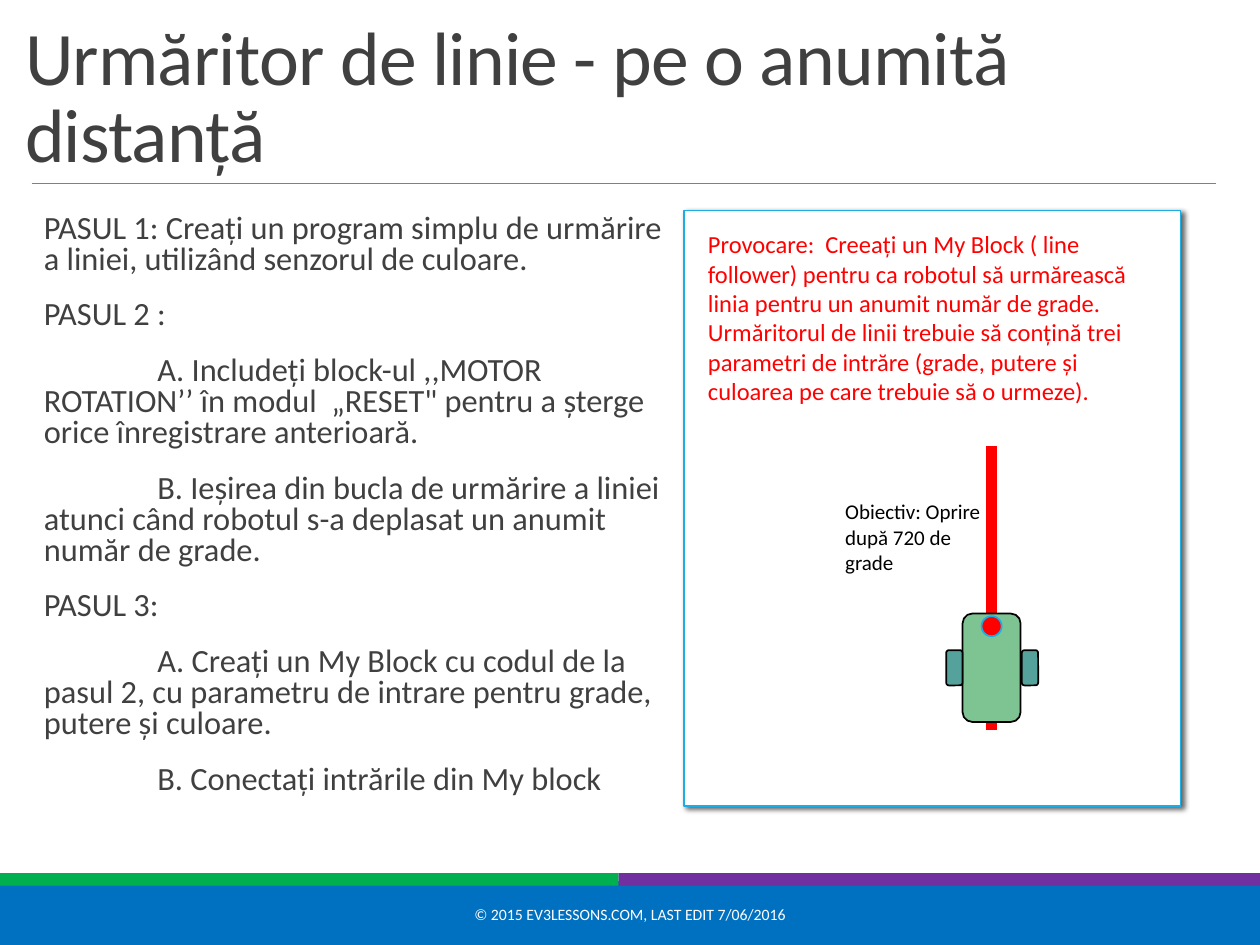
from lxml import etree
from pptx import Presentation
from pptx.dml.color import RGBColor
from pptx.enum.shapes import MSO_CONNECTOR as CONN, MSO_SHAPE as SHAPE
from pptx.enum.text import MSO_ANCHOR as ANCHOR, MSO_AUTO_SIZE as AUTO, PP_ALIGN as ALIGN
from pptx.oxml import parse_xml
from pptx.oxml.ns import nsdecls, qn
from pptx.util import Inches, Pt


def rgb(color):
    return RGBColor.from_string(color)


prs = Presentation()
prs.slide_width, prs.slide_height = Inches(10), Inches(7.5)
s = prs.slides.add_slide(prs.slide_layouts[6])
robot = s.shapes.add_group_shape()

shapes = [
    (s, SHAPE.RECTANGLE, (0, 7, 10, 0.5), "0070C0", "0070C0", 1.25),
    (s, SHAPE.RECTANGLE, (0, 6.93, 4.91, 0.1), "00B050", None, 0),
    (s, SHAPE.RECTANGLE, (4.91, 6.93, 5.09, 0.1), "7030A0", None, 0),
    (s, SHAPE.RECTANGLE, (5.43, 1.67, 3.94, 4.73), "FFFFFF", "1CADE4", 1),
    (robot, SHAPE.ROUNDED_RECTANGLE, (7.64, 4.87, 0.46, 0.86), "7EC492", "000000", 1),
    (robot, SHAPE.ROUNDED_RECTANGLE, (8.11, 5.16, 0.13, 0.28), "55A19C", "000000", 1),
    (robot, SHAPE.ROUNDED_RECTANGLE, (7.51, 5.16, 0.13, 0.28), "55A19C", "000000", 1),
    (robot, SHAPE.OVAL, (7.79, 4.89, 0.16, 0.16), "FF0000", "1CADE4", 1),
]
for parent, kind, box, fill, line, width in shapes:
    sp = parent.shapes.add_shape(kind, *map(Inches, box))
    sp.shadow.inherit = False
    sp.fill.solid()
    sp.fill.fore_color.rgb = rgb(fill)
    if line:
        sp.line.color.rgb = rgb(line)
        sp.line.width = Pt(width)
    else:
        sp.line.fill.background()
    if line == "1CADE4" and parent is s:
        sp._element.spPr.find(qn("a:effectLst")).append(parse_xml(
            f'<a:outerShdw {nsdecls("a")} blurRad="{Pt(3)}" dist="{Pt(2)}" dir="2700000">'
            '<a:srgbClr val="000000"><a:alpha val="60000"/></a:srgbClr></a:outerShdw>'))

lines = [
    ((0.25, 1.46, 9.65, 1.46), "808080", 0.5),
    ((7.87, 5.79, 7.87, 3.54), "FF0000", 6),
]
for ends, color, width in lines:
    cx = s.shapes.add_connector(CONN.STRAIGHT, *map(Inches, ends))
    cx.line.color.rgb = rgb(color)
    cx.line.width = Pt(width)
    etree.SubElement(cx._element.spPr, qn("a:effectLst"))
s.shapes._spTree.append(robot._element)

steps = [
    "PASUL 1: Creați un program simplu de urmărire a liniei, utilizând senzorul de culoare.",
    "PASUL 2 :",
    "\tA. Includeți block-ul ,,MOTOR ROTATION’’ în modul  „RESET\" pentru a șterge orice înregistrare anterioară.",
    "\tB. Ieșirea din bucla de urmărire a liniei atunci când robotul s-a deplasat un anumit număr de grade.",
    "PASUL 3:",
    "\tA. Creați un My Block cu codul de la pasul 2, cu parametru de intrare pentru grade, putere și culoare.",
    "\tB. Conectați intrările din My block",
]
challenge = (
    "Provocare:  Creeați un My Block ( line follower) pentru ca robotul să urmărească  linia "
    "pentru un anumit număr de grade.  Urmăritorul de linii trebuie să conțină trei parametri "
    "de intrăre (grade, putere și culoarea pe care trebuie să o urmeze)."
)
grow = {"auto_size": AUTO.SHAPE_TO_FIT_TEXT}
texts = [
    ((0.1, 0.19, 9.82, 1.27), ["Urmăritor de linie - pe o anumită distanță"], 43.2, "404040",
     {"vertical_anchor": ANCHOR.BOTTOM}, {"line_spacing": 0.85}),
    ((0.25, 1.65, 5.09, 5.09), steps, 18.5, "404040",
     {"margin_left": Inches(0.1), "margin_right": 0}, {"line_spacing": 0.8, "space_after": Pt(2)}),
    ((3.02, 7.06, 3.96, 0.4), ["© 2015 EV3LESSONS.COM, LAST EDIT 7/06/2016"], 9, "FFFFFF",
     {"vertical_anchor": ANCHOR.MIDDLE}, {"alignment": ALIGN.CENTER}),
    ((5.52, 1.77, 3.65, 1.51), [challenge], 14, "FF0000", grow, {}),
    ((6.61, 3.91, 1.34, 0.71), ["Obiectiv: Oprire după 720 de grade"], 12, "000000", grow, {}),
]
for box, paragraphs, size, color, frame, layout in texts:
    tf = s.shapes.add_textbox(*map(Inches, box)).text_frame
    tf.word_wrap = True
    for name, value in frame.items():
        setattr(tf, name, value)
    for i, text in enumerate(paragraphs):
        p = tf.add_paragraph() if i else tf.paragraphs[0]
        for name, value in layout.items():
            setattr(p, name, value)
        if i:
            p.space_before = Pt(12)
        if text.startswith("\t"):
            tabs = etree.SubElement(p._p.get_or_add_pPr(), qn("a:tabLst"))
            etree.SubElement(tabs, qn("a:tab"), pos=str(Inches(0.9)), algn="l")
        r = p.add_run()
        r.text = text
        for name, value in {"name": "Calibri", "size": Pt(size)}.items():
            setattr(r.font, name, value)
        r.font.color.rgb = rgb(color)
        if size > 40:
            r._r.get_or_add_rPr().set("spc", "-45")

prs.save("out.pptx")
